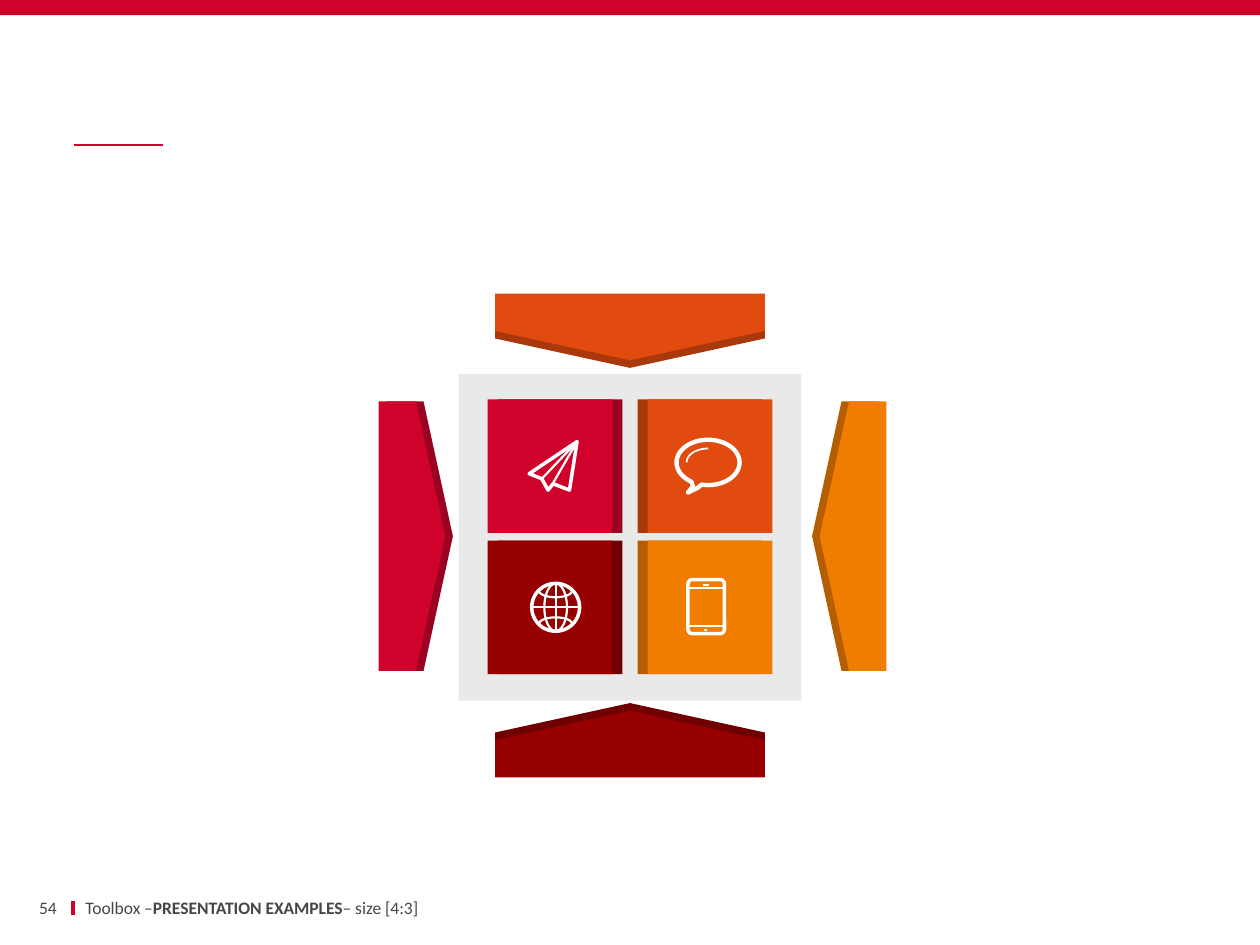
import math

from lxml import etree
from pptx import Presentation
from pptx.dml.color import RGBColor
from pptx.enum.shapes import MSO_CONNECTOR, MSO_SHAPE
from pptx.enum.text import MSO_ANCHOR, PP_ALIGN
from pptx.oxml.ns import qn
from pptx.util import Inches, Pt

RECT, OVAL, ROUND = MSO_SHAPE.RECTANGLE, MSO_SHAPE.OVAL, MSO_SHAPE.ROUNDED_RECTANGLE
CALLOUT, STRAIGHT = MSO_SHAPE.DOWN_ARROW_CALLOUT, MSO_CONNECTOR.STRAIGHT
MIDDLE, LEFT, RIGHT = MSO_ANCHOR.MIDDLE, PP_ALIGN.LEFT, PP_ALIGN.RIGHT

RED, RED_SHADE = RGBColor(0xCF, 0x02, 0x2B), RGBColor(0x9B, 0x01, 0x20)
ORANGE, ORANGE_SHADE = RGBColor(0xE1, 0x4B, 0x0F), RGBColor(0xA9, 0x38, 0x0B)
AMBER, AMBER_SHADE = RGBColor(0xF0, 0x7D, 0x00), RGBColor(0xB4, 0x5E, 0x00)
MAROON, MAROON_SHADE = RGBColor(0x96, 0x00, 0x00), RGBColor(0x70, 0x00, 0x00)
GRAY, TEXT = RGBColor(0xE9, 0xE9, 0xE9), RGBColor(0x46, 0x46, 0x46)
WHITE = RGBColor(0xFF, 0xFF, 0xFF)


def paint(sp, fill=None, line=None, width=1):
    """Set the fill and outline of a shape, either of which may be absent."""
    sp.shadow.inherit = False
    if fill is None:
        sp.fill.background()
    else:
        sp.fill.solid()
        sp.fill.fore_color.rgb = fill
    if line is None:
        sp.line.fill.background()
    else:
        sp.line.color.rgb = line
        sp.line.width = Pt(width)


def add_shape(s, kind, x, y, w, h, **style):
    """Add a preset shape with the given paint."""
    sp = s.shapes.add_shape(kind, Inches(x), Inches(y), Inches(w), Inches(h))
    paint(sp, **style)
    return sp


def add_line(s, x1, y1, x2, y2, color=WHITE, width=1.5):
    """Add a straight line without a shadow."""
    c = s.shapes.add_connector(STRAIGHT, Inches(x1), Inches(y1), Inches(x2), Inches(y2))
    c.line.color.rgb = color
    c.line.width = Pt(width)
    etree.SubElement(c._element.spPr, qn("a:effectLst"))


def add_outline(s, x, y, points, close=True, width=1.5):
    """Add a white outline through points measured from x, y."""
    pts = [(Inches(x + px), Inches(y + py)) for px, py in points]
    builder = s.shapes.build_freeform(*pts[0])
    builder.add_line_segments(pts[1:], close=close)
    paint(builder.convert_to_shape(), line=WHITE, width=width)


def add_text(s, x, y, w, h, runs, align=LEFT, inset=0.1, size=10, font="Calibri", color=TEXT):
    """Add one line of text made of (text, bold) runs."""
    tf = s.shapes.add_textbox(Inches(x), Inches(y), Inches(w), Inches(h)).text_frame
    tf.word_wrap = True
    tf.vertical_anchor = MIDDLE
    tf.margin_left = tf.margin_right = Inches(inset)
    tf.margin_top = tf.margin_bottom = Inches(0.05)
    p = tf.paragraphs[0]
    p.alignment = align
    for text, bold in runs:
        r = p.add_run()
        r.text = text
        r.font.size, r.font.name, r.font.bold = Pt(size), font, bold
        r.font.color.rgb = color


def arc(cx, cy, rx, ry, start, end, steps=60):
    """Return points along an elliptical arc, clockwise in degrees."""
    angles = [math.radians(start + (end - start) * i / steps) for i in range(steps + 1)]
    return [(cx + rx * math.cos(a), cy + ry * math.sin(a)) for a in angles]


def plane_icon(s, x, y):
    """Draw a paper plane in the tile at x, y."""
    tip = (0.71, 0.335)
    add_outline(s, x, y, [tip, (0.33, 0.59), (0.43, 0.63), (0.48, 0.72),
                          (0.52, 0.67), (0.65, 0.72)], width=2)
    for fx, fy in [(0.43, 0.63), (0.51, 0.68)]:
        add_line(s, x + tip[0], y + tip[1], x + fx, y + fy, width=1.25)


def bubble_icon(s, x, y):
    """Draw a speech bubble in the tile at x, y."""
    tail = [(0.48, 0.7), (0.4, 0.74), (0.44, 0.69)]
    add_outline(s, x, y, arc(0.56, 0.5, 0.25, 0.18, 122, 462) + tail, width=2.5)
    add_outline(s, x, y, arc(0.56, 0.5, 0.17, 0.11, 180, 270), close=False, width=1)


def globe_icon(s, x, y):
    """Draw a globe in the tile at x, y."""
    cx, cy, r = x + 0.54, y + 0.53, 0.19
    for rx, width in [(r, 2), (0.09, 1.25)]:
        add_shape(s, OVAL, cx - rx, cy - r, 2 * rx, 2 * r, line=WHITE, width=width)
    add_line(s, cx - r, cy, cx + r, cy, width=1.25)
    add_line(s, cx, cy - r, cx, cy + r, width=1.25)
    for side in (-1, 1):
        curve = arc(0, side * 0.13, 0.13, 0.05, 0, -side * 180)
        add_outline(s, cx, cy, curve, close=False, width=1.25)


def phone_icon(s, x, y):
    """Draw a mobile phone in the tile at x, y."""
    sp = add_shape(s, ROUND, x + 0.4, y + 0.31, 0.29, 0.43, line=WHITE, width=2)
    sp.adjustments[0] = 0.12
    for x1, x2, dy in [(0.4, 0.69, 0.38), (0.4, 0.69, 0.68), (0.52, 0.57, 0.35), (0.53, 0.55, 0.71)]:
        add_line(s, x + x1, y + dy, x + x2, y + dy, width=1.25)


def tile_grid(s, x, y):
    """Place the two by two grid of shaded tiles with their icons."""
    w, h, edge = 0.99, 1.06, 0.08
    tiles = [(0, 0, RED, RED_SHADE, plane_icon), (0, 1, MAROON, MAROON_SHADE, globe_icon),
             (1, 0, ORANGE, ORANGE_SHADE, bubble_icon), (1, 1, AMBER, AMBER_SHADE, phone_icon)]
    for col, row, fill, shade, icon in tiles:
        tx, ty = x + col * 1.19, y + row * 1.12
        add_shape(s, RECT, tx + edge * (1 - col), ty, w, h, fill=shade)
        add_shape(s, RECT, tx + edge * col, ty, w, h, fill=fill)
        icon(s, tx, ty)


def arrow_ring(s, cx, cy):
    """Place four shaded callouts that point at cx, cy."""
    w, h, edge = 2.14, 0.53, 0.06
    arrows = [(-1, 0, 1.67, 270, RED, RED_SHADE), (0, -1, 1.6, 0, ORANGE, ORANGE_SHADE),
              (1, 0, 1.71, 90, AMBER, AMBER_SHADE), (0, 1, 1.59, 180, MAROON, MAROON_SHADE)]
    for dx, dy, gap, angle, fill, shade in arrows:
        for dist, color in [(gap, shade), (gap + edge, fill)]:
            sp = add_shape(s, CALLOUT, cx + dx * dist - w / 2, cy + dy * dist - h / 2,
                           w, h, fill=color)
            sp.rotation = angle
            for i, value in enumerate((3.71, 3.1, 0.44, 0.56)):
                sp.adjustments[i] = value


def matrix(s, x, y, w, h):
    """Place the gray panel, its tiles and the arrows around it."""
    add_shape(s, RECT, x, y, w, h, fill=GRAY)
    tile_grid(s, x + 0.23, y + 0.2)
    arrow_ring(s, x + w / 2, y + h / 2 - 0.01)


def header(s, w):
    """Place the top band and the short accent rule."""
    add_shape(s, RECT, 0, 0, w, 0.12, fill=RED)
    add_line(s, 0.59, 1.15, 1.29, 1.15, color=RED, width=1)


def footer(s, x, y, h):
    """Place the page number, the divider and the footer text."""
    add_line(s, x + 0.45, y + 0.04, x + 0.45, y + 0.15, color=RED, width=2.25)
    add_text(s, x, y, 0.32, h, [("54", False)], align=RIGHT, inset=0)
    add_text(s, x + 0.45, y, 4.97, h, [("Toolbox –", False), ("PRESENTATION EXAMPLES", True),
                                       ("– size [4:3]", False)])


def main():
    """Build the slide and save it."""
    prs = Presentation()
    prs.slide_width, prs.slide_height = Inches(10), Inches(7.5)
    s = prs.slides.add_slide(prs.slide_layouts[6])
    header(s, 10)
    matrix(s, 3.64, 2.97, 2.72, 2.59)
    footer(s, 0.13, 7.11, 0.18)
    prs.save("out.pptx")


if __name__ == "__main__":
    main()
